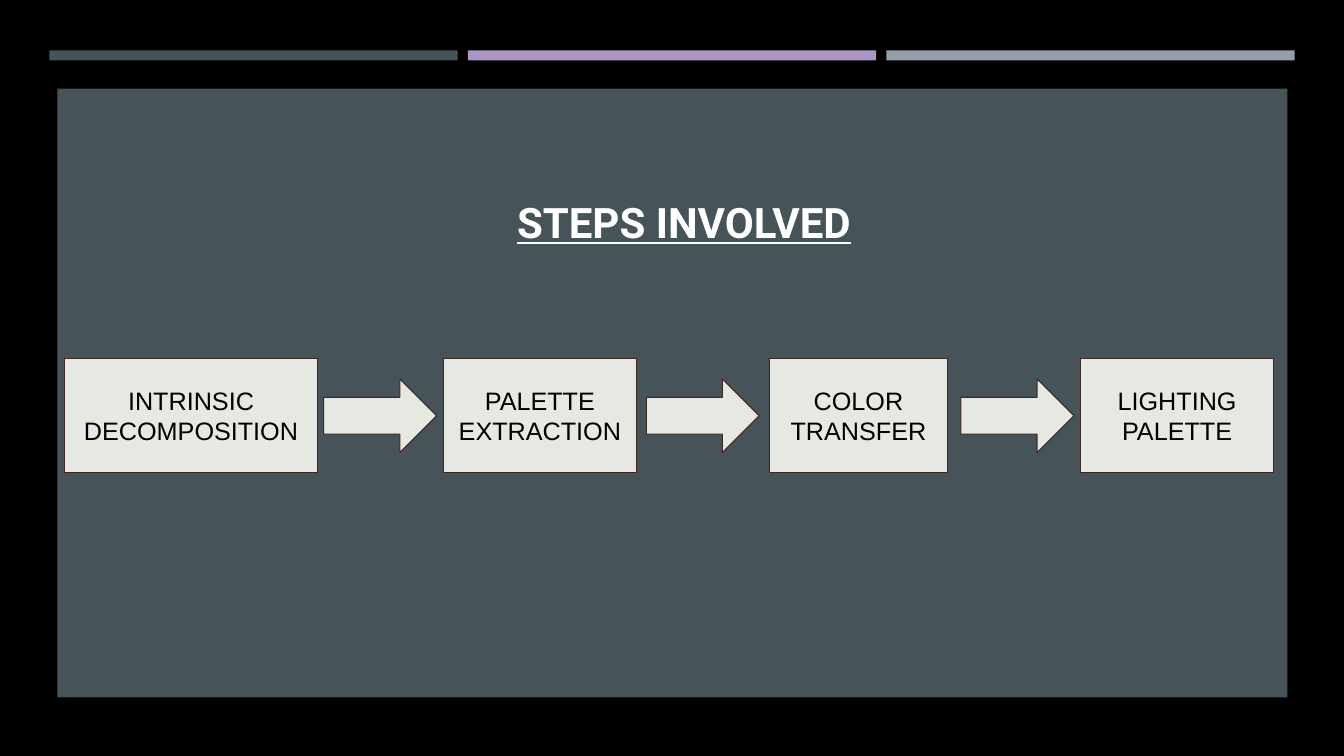
from dataclasses import dataclass

from pptx import Presentation
from pptx.dml.color import RGBColor
from pptx.enum.shapes import MSO_SHAPE
from pptx.enum.text import MSO_ANCHOR, PP_ALIGN
from pptx.util import Inches, Pt


@dataclass(frozen=True)
class Theme:
    background: str = "000000"
    slate: str = "465359"
    lilac: str = "A996C6"
    silver: str = "969FA7"
    step_fill: str = "E6E8E2"
    step_line: str = "412624"
    title_color: str = "FFFFFF"
    step_color: str = "000000"
    title_font: str = "Roboto"
    step_font: str = "Arial"
    title_size: int = 30
    step_size: int = 18


THEME = Theme()


def add_block(slide, kind, box, fill, line=None):
    shape = slide.shapes.add_shape(kind, *map(Inches, box))
    shape.shadow.inherit = False
    shape.fill.solid()
    shape.fill.fore_color.rgb = RGBColor.from_string(fill)
    if line:
        shape.line.color.rgb = RGBColor.from_string(line)
        shape.line.width = Pt(0.75)
    else:
        shape.line.fill.background()
    return shape


def write_text(shape, text, *, font, size, color, bold=False, underline=False,
               anchor=MSO_ANCHOR.MIDDLE):
    frame = shape.text_frame
    frame.word_wrap = True
    frame.vertical_anchor = anchor
    frame.margin_left = frame.margin_right = Inches(0.1)
    frame.margin_top = frame.margin_bottom = Inches(0.1)
    paragraph = frame.paragraphs[0]
    paragraph.alignment = PP_ALIGN.CENTER
    run = paragraph.add_run()
    run.text = text
    run.font.name = font
    run.font.size = Pt(size)
    run.font.color.rgb = RGBColor.from_string(color)
    run.font.bold = bold
    run.font.underline = underline


def add_top_bars(slide, box):
    left, top, width, height = box
    gap = 0.1
    colors = (THEME.slate, THEME.lilac, THEME.silver)
    bar_width = (width - gap * (len(colors) - 1)) / len(colors)
    for index, color in enumerate(colors):
        bar_left = left + index * (bar_width + gap)
        add_block(slide, MSO_SHAPE.RECTANGLE, (bar_left, top, bar_width, height), color)


def add_title(slide, box, text):
    title = slide.shapes.title
    title.left, title.top, title.width, title.height = map(Inches, box)
    write_text(title, text, font=THEME.title_font, size=THEME.title_size,
               color=THEME.title_color, bold=True, underline=True,
               anchor=MSO_ANCHOR.TOP)
    # Bring the title in front of the panel
    slide.shapes.element.append(title.element)


def add_process(slide, box):
    left, top, width, height = box
    arrow_width, arrow_height = 1.12, 0.73
    arrow_top = top + (height - arrow_height) / 2
    # Step text, offset and width, then the offset of the arrow that follows
    steps = (
        ("INTRINSIC DECOMPOSITION", 0, 2.51, 2.57),
        ("PALETTE EXTRACTION", 3.76, 1.91, 5.77),
        ("COLOR TRANSFER", 6.99, 1.77, 8.89),
        ("LIGHTING PALETTE", width - 1.91, 1.91, None),
    )
    for text, offset, step_width, arrow_offset in steps:
        step = add_block(slide, MSO_SHAPE.RECTANGLE,
                         (left + offset, top, step_width, height),
                         THEME.step_fill, THEME.step_line)
        write_text(step, text, font=THEME.step_font, size=THEME.step_size,
                   color=THEME.step_color)
        if arrow_offset is not None:
            add_block(slide, MSO_SHAPE.RIGHT_ARROW,
                      (left + arrow_offset, arrow_top, arrow_width, arrow_height),
                      THEME.step_fill, THEME.step_line)


def build_steps_slide(presentation):
    slide = presentation.slides.add_slide(presentation.slide_layouts[5])
    slide.background.fill.solid()
    slide.background.fill.fore_color.rgb = RGBColor.from_string(THEME.background)

    # Colour bars and panel
    add_top_bars(slide, (0.49, 0.5, 12.35, 0.1))
    add_block(slide, MSO_SHAPE.RECTANGLE, (0.57, 0.88, 12.2, 6.04), THEME.slate)

    # Title and process
    add_title(slide, (2.65, 1.85, 8.27, 0.71), "STEPS INVOLVED")
    add_process(slide, (0.64, 3.56, 11.99, 1.13))


def main():
    presentation = Presentation()
    presentation.slide_width = Inches(13.33)
    presentation.slide_height = Inches(7.5)
    build_steps_slide(presentation)
    presentation.save("out.pptx")


if __name__ == "__main__":
    main()
